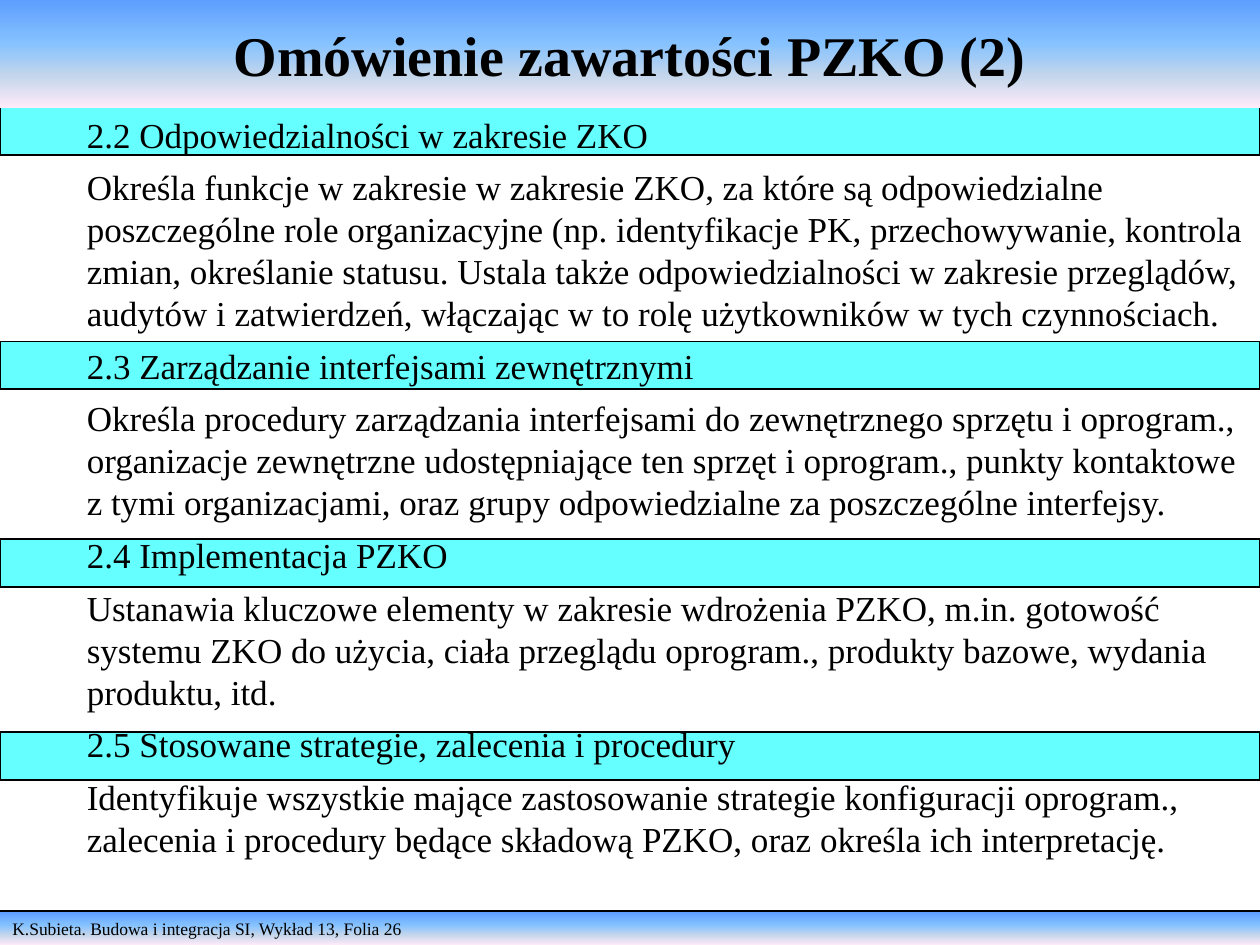
from dataclasses import dataclass

from lxml.etree import SubElement
from pptx import Presentation
from pptx.dml.color import RGBColor
from pptx.enum.shapes import MSO_CONNECTOR, MSO_SHAPE
from pptx.enum.text import MSO_ANCHOR, PP_ALIGN
from pptx.oxml.ns import qn
from pptx.util import Inches, Pt


@dataclass(frozen=True)
class Theme:
    font: str = "Times New Roman"
    ink: str = "000000"
    band: str = "66FFFF"
    gradient: tuple = ((0, "5E9EFF"), (40, "85C2FF"), (70, "C4D6EB"), (100, "FFEBFA"))
    title_size: int = 32
    body_size: int = 20
    footer_size: int = 10
    line_width: int = 1


THEME = Theme()
TITLE = "Omówienie zawartości PZKO (2)"
FOOTER = "K.Subieta. Budowa i integracja SI, Wykład 13, Folia 26"
BAND_TOPS = (0.85, 2.71, 4.28, 5.81)
SECTIONS = (
    ("2.2 Odpowiedzialności w zakresie ZKO",
     "Określa funkcje w zakresie w zakresie ZKO, za które są odpowiedzialne "
     "poszczególne role organizacyjne (np. identyfikacje PK, przechowywanie, "
     "kontrola zmian, określanie statusu. Ustala także odpowiedzialności w "
     "zakresie przeglądów, audytów i zatwierdzeń, włączając w to rolę "
     "użytkowników w tych czynnościach."),
    ("2.3 Zarządzanie interfejsami zewnętrznymi",
     "Określa procedury zarządzania interfejsami do zewnętrznego sprzętu i "
     "oprogram., organizacje zewnętrzne udostępniające ten sprzęt i oprogram., "
     "punkty kontaktowe z tymi organizacjami, oraz grupy odpowiedzialne za "
     "poszczególne interfejsy."),
    ("2.4 Implementacja PZKO",
     "Ustanawia kluczowe elementy w zakresie wdrożenia PZKO, m.in. gotowość "
     "systemu ZKO do użycia, ciała przeglądu oprogram., produkty bazowe, "
     "wydania produktu, itd."),
    ("2.5 Stosowane strategie, zalecenia i procedury",
     "Identyfikuje wszystkie mające zastosowanie strategie konfiguracji "
     "oprogram., zalecenia i procedury będące składową PZKO, oraz określa ich "
     "interpretację."),
)


def fill_gradient(shape):
    """Give the shape the theme's gradient, running from top to bottom."""
    shape.fill.gradient()
    shape.fill.gradient_angle = 270
    stops = shape.fill._fill._gradFill.find(qn("a:gsLst"))
    for stop in list(stops):
        stops.remove(stop)
    for percent, color in THEME.gradient:
        stop = SubElement(stops, qn("a:gs"), pos=str(percent * 1000))
        SubElement(stop, qn("a:srgbClr"), val=color)


def add_run(paragraph, text, size, bold=False):
    run = paragraph.add_run()
    run.text = text
    run.font.name = THEME.font
    run.font.size = Pt(size)
    run.font.bold = bold
    run.font.color.rgb = RGBColor.from_string(THEME.ink)


def set_outline(line):
    line.color.rgb = RGBColor.from_string(THEME.ink)
    line.width = Pt(THEME.line_width)


def add_rectangle(slide, box):
    shape = slide.shapes.add_shape(MSO_SHAPE.RECTANGLE, *map(Inches, box))
    shape.shadow.inherit = False
    return shape


def add_footer(slide, box):
    bar = add_rectangle(slide, box)
    fill_gradient(bar)
    bar.line.fill.background()
    bar.text_frame.word_wrap = True
    bar.text_frame.vertical_anchor = MSO_ANCHOR.TOP
    paragraph = bar.text_frame.paragraphs[0]
    paragraph.alignment = PP_ALIGN.LEFT
    add_run(paragraph, FOOTER, THEME.footer_size)

    left, top, width, _ = box
    rule_y = Inches(top - 0.01)
    rule = slide.shapes.add_connector(
        MSO_CONNECTOR.STRAIGHT, Inches(left), rule_y, Inches(left + width), rule_y)
    set_outline(rule.line)
    SubElement(rule._element.spPr, qn("a:effectLst"))


def add_band(slide, box):
    band = add_rectangle(slide, box)
    band.fill.solid()
    band.fill.fore_color.rgb = RGBColor.from_string(THEME.band)
    set_outline(band.line)


def place_title(slide, box):
    """Format the title and bring it in front of the first band."""
    title = slide.shapes.title
    title.left, title.top, title.width, title.height = map(Inches, box)
    fill_gradient(title)
    title.text_frame.vertical_anchor = MSO_ANCHOR.MIDDLE
    paragraph = title.text_frame.paragraphs[0]
    paragraph.alignment = PP_ALIGN.CENTER
    add_run(paragraph, TITLE, THEME.title_size, bold=True)
    slide.shapes._spTree.append(title._element)


def add_body(slide, box):
    frame = slide.shapes.add_textbox(*map(Inches, box)).text_frame
    frame.word_wrap = True
    texts = [text for section in SECTIONS for text in section]
    for index, text in enumerate(texts):
        paragraph = frame.add_paragraph() if index else frame.paragraphs[0]
        paragraph.space_after = Pt(0.3 * THEME.body_size)
        add_run(paragraph, text, THEME.body_size)


def main():
    presentation = Presentation()
    presentation.slide_width = Inches(10)
    presentation.slide_height = Inches(7.5)
    slide = presentation.slides.add_slide(presentation.slide_layouts.get_by_name("Title Only"))
    add_footer(slide, (0, 7.24, 10, 0.26))
    for top in BAND_TOPS:
        add_band(slide, (0, top, 10, 0.38))
    place_title(slide, (0, 0, 10, 0.86))
    add_body(slide, (0.59, 0.85, 9.41, 6.24))
    presentation.save("out.pptx")


if __name__ == "__main__":
    main()
